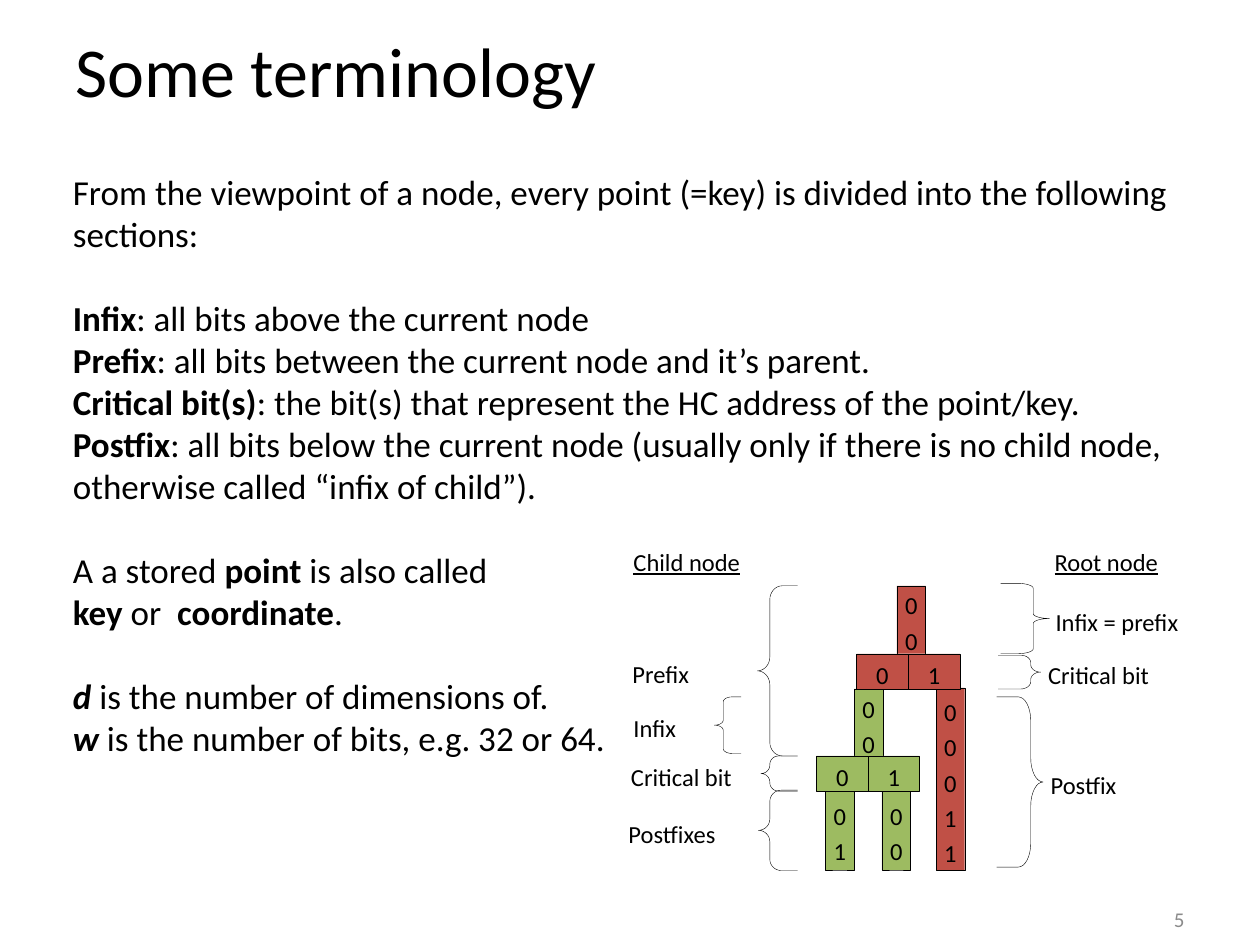
from dataclasses import dataclass
from math import cos, pi, sin

from pptx import Presentation
from pptx.dml.color import RGBColor
from pptx.enum.shapes import MSO_SHAPE
from pptx.enum.text import MSO_ANCHOR, PP_ALIGN
from pptx.util import Cm, Pt


@dataclass(frozen=True)
class Theme:
    """Colours, font and type sizes of the slide."""

    font: str = "Calibri"
    ink: RGBColor = RGBColor(0, 0, 0)
    grey: RGBColor = RGBColor(0x8B, 0x8B, 0x8B)
    root: RGBColor = RGBColor(0xC0, 0x50, 0x46)
    child: RGBColor = RGBColor(0x9D, 0xBB, 0x61)
    title: int = 40
    body: int = 20
    label: int = 14
    small: int = 12
    line: float = 0.23


THEME = Theme()
BITW, BITH, CELLW = 0.58, 0.71, 1.04

BODY = [
    (0, [("From the viewpoint of a node, every point (=key) is divided into "
          "the following sections:", "")]),
    (1, [("Infix", "b"), (": all bits above the current node", "")]),
    (0, [("Prefix", "b"),
         (": all bits between the current node and it’s parent.", "")]),
    (0, [("Critical bit(s)", "b"),
         (": the bit(s) that represent the HC address of the point/key.", "")]),
    (0, [("Postfix", "b"),
         (": all bits below the current node (usually only if there is no "
          "child node, otherwise called “infix of child”).", "")]),
    (1, [("A a stored ", ""), ("point", "b"), (" is also called", "")]),
    (0, [("key", "b"), (" or  ", ""), ("coordinate", "b"), (".", "")]),
    (1, [("d", "bi"), (" is the number of dimensions of.", "")]),
    (0, [("w", "bi"), (" is the number of bits, e.g. 32 or 64.", "")]),
]

COLUMNS = [
    (16.64, 15.93, 1.61, "01", THEME.child),
    (17.78, 15.93, 1.61, "00", THEME.child),
    (18.87, 13.87, 3.68, "00011", THEME.root),
    (18.08, 11.81, 1.37, "00", THEME.root),
    (17.22, 13.89, 1.37, "00", THEME.child),
]
PAIRS = [(16.46, 15.24, THEME.child), (17.27, 13.18, THEME.root)]

NOTES = [
    ("Prefix", 12.6, (16.08, 15.52, 15.27), 11.81, 15.24, 0.28),
    ("Critical bit", 12.57, (16.08, 15.52, 15.34), 15.24, 15.95, 0.17),
    ("Postfixes", 12.52, (16.08, 15.52, 15.29), 15.93, 17.55, 0.23),
    ("Infix = prefix", 21.13, (20.17, 20.83, 21.16), 11.76, 13.18, 0.1),
    ("Critical bit", 20.98, (20.12, 20.78, 20.98), 13.21, 13.89, 0.15),
    ("Infix", 12.62, (14.94, 14.58, 14.4), 14.05, 15.19, 0.1),
    ("Postfix", 21.03, (20.09, 20.78, 21.03), 14.05, 17.48, 0.48),
]


def write(frame, paras, size=THEME.label, color=THEME.ink, align=PP_ALIGN.LEFT,
          anchor=MSO_ANCHOR.TOP, pad=(0.25, 0.13), space=1.0, gap=24):
    """Fill a frame with paragraphs of (gap before, [(text, style)])."""
    frame.word_wrap = True
    frame.vertical_anchor = anchor
    frame.margin_left = frame.margin_right = Cm(pad[0])
    frame.margin_top = frame.margin_bottom = Cm(pad[1])
    for num, (lead, runs) in enumerate(paras):
        para = frame.add_paragraph() if num else frame.paragraphs[0]
        para.alignment = align
        para.line_spacing = space
        para.space_before = Pt(gap * lead)
        for text, style in runs:
            run = para.add_run()
            run.text = text
            font = run.font
            font.name, font.size = THEME.font, Pt(size)
            font.color.rgb = color
            font.bold, font.italic = "b" in style, "i" in style
            font.underline = "u" in style


def plain(text, style=""):
    """Return one paragraph that holds one run."""
    return [(0, [(text, style)])]


def label(slide, area, paras, **form):
    """Add a text box over an area in centimetres."""
    box = slide.shapes.add_textbox(*map(Cm, area))
    write(box.text_frame, paras, **form)


def outline(shape):
    """Give a shape the thin dark line and no shadow."""
    shape.shadow.inherit = False
    shape.line.color.rgb = THEME.ink
    shape.line.width = Pt(THEME.line)


def block(slide, area, bits, fill):
    """Add a filled box with its bits stacked."""
    shape = slide.shapes.add_shape(MSO_SHAPE.RECTANGLE, *map(Cm, area))
    outline(shape)
    shape.fill.solid()
    shape.fill.fore_color.rgb = fill
    write(shape.text_frame, [(0, [(bit, "")]) for bit in bits],
          align=PP_ALIGN.CENTER, anchor=MSO_ANCHOR.MIDDLE, pad=(0, 0), space=1.2)


def brace(slide, cols, top, low, bend, steps=8):
    """Draw a curly brace from its end, spine and tip columns."""
    end, spine, tip = cols
    mid, reach = (top + low) / 2, tip - spine
    turns = [pi / 2 * step / steps for step in range(steps + 1)]
    half = [(end, top)]
    half += [(spine - reach + reach * sin(turn), top + bend - bend * cos(turn))
             for turn in turns]
    half += [(tip - reach * cos(turn), mid - bend + bend * sin(turn))
             for turn in turns]
    path = half + [(x, top + low - y) for x, y in reversed(half[:-1])]
    dots = [(Cm(x), Cm(y)) for x, y in path]
    pen = slide.shapes.build_freeform(*dots[0])
    pen.add_line_segments(dots[1:], close=False)
    shape = pen.convert_to_shape()
    shape.fill.background()
    outline(shape)


def note(slide, text, left, cols, top, low, bend):
    """Add a brace and its label at the same height."""
    brace(slide, cols, top, low, bend)
    label(slide, (left, (top + low) / 2 - 0.5, 3.3, 1), plain(text),
          anchor=MSO_ANCHOR.MIDDLE, pad=(0.15, 0.15), space=1.2)


def head(slide, text):
    """Place and format the title."""
    title = slide.shapes.title
    title.left, title.top, title.width, title.height = map(
        Cm, (1.27, 0.2, 22.86, 2.41))
    write(title.text_frame, plain(text), size=THEME.title,
          anchor=MSO_ANCHOR.MIDDLE)


def main():
    """Build the slide and save it."""
    deck = Presentation()
    deck.slide_width, deck.slide_height = Cm(25.4), Cm(19.05)
    slide = deck.slides.add_slide(deck.slide_layouts[5])
    head(slide, "Some terminology")
    label(slide, (1.22, 3.3, 22.91, 6.6), BODY, size=THEME.body)
    label(slide, (18.21, 18.29, 5.92, 0.46), plain("5"), size=THEME.small,
          color=THEME.grey, align=PP_ALIGN.RIGHT, anchor=MSO_ANCHOR.MIDDLE)
    for left, top, high, bits, fill in COLUMNS:
        block(slide, (left, top, BITW, high), bits, fill)
    for left, top, fill in PAIRS:
        for num, bit in enumerate("01"):
            block(slide, (left + num * CELLW, top, CELLW, BITH), bit, fill)
    for item in NOTES:
        note(slide, *item)
    for text, left in (("Child node", 12.52), ("Root node", 21.01)):
        label(slide, (left, 10.9, 3.2, 0.86), plain(text, "u"))
    deck.save("out.pptx")


if __name__ == "__main__":
    main()
